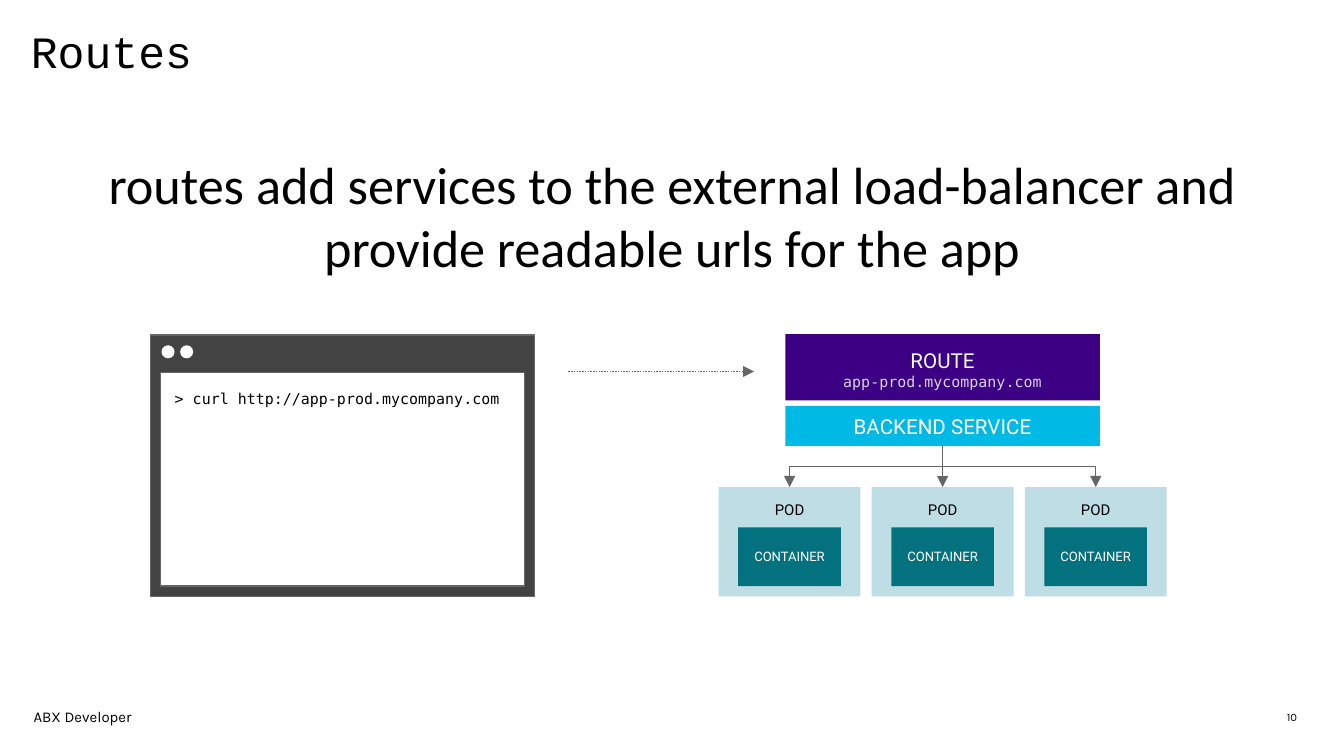
from copy import deepcopy

from lxml import etree
from pptx import Presentation
from pptx.dml.color import RGBColor
from pptx.enum import dml, shapes, text
from pptx.oxml import ns
from pptx.util import Pt

MONO = "DejaVu Sans Mono"
GREY = "666666"
RECT = shapes.MSO_SHAPE.RECTANGLE
OVAL = shapes.MSO_SHAPE.OVAL
ELBOW = shapes.MSO_CONNECTOR.ELBOW
STRAIGHT = shapes.MSO_CONNECTOR.STRAIGHT
TOP, MIDDLE = text.MSO_ANCHOR.TOP, text.MSO_ANCHOR.MIDDLE
LEFT, CENTER, RIGHT = text.PP_ALIGN.LEFT, text.PP_ALIGN.CENTER, text.PP_ALIGN.RIGHT


def rgb(color):
    return RGBColor.from_string(color)


def write(sp, *lines, size=8, font="Roboto", color="000000", align=CENTER,
          anchor=MIDDLE, inset=7.2):
    tf = sp.text_frame
    tf.word_wrap = True
    tf.vertical_anchor = anchor
    tf.margin_left = tf.margin_right = tf.margin_top = tf.margin_bottom = Pt(inset)
    p = tf.paragraphs[0]
    p.alignment = align
    for line in lines:
        r = add_run(p, line, size, font, color)
    return p


def add_run(p, line, size, font, color):
    r = p.add_run()
    r.text = line
    r.font.size = Pt(size)
    r.font.name = font
    r.font.color.rgb = rgb(color)
    return r


def add_break(p):
    p.add_line_break()
    p._p[-1].insert(0, deepcopy(p.runs[-1]._r.rPr))


def add_box(s, x, y, w, h, fill, line=None, kind=RECT):
    sp = s.shapes.add_shape(kind, Pt(x), Pt(y), Pt(w), Pt(h))
    sp.shadow.inherit = False
    sp.fill.solid()
    sp.fill.fore_color.rgb = rgb(fill)
    if line:
        sp.line.color.rgb = rgb(line)
        sp.line.width = Pt(0.75)
    else:
        sp.line.fill.background()
    return sp


def add_label(s, x, y, w, h, line, **fmt):
    return write(s.shapes.add_textbox(Pt(x), Pt(y), Pt(w), Pt(h)), line, **fmt)


def add_arrow(s, x1, y1, x2, y2, kind=STRAIGHT, dash=None):
    cxn = s.shapes.add_connector(kind, Pt(x1), Pt(y1), Pt(x2), Pt(y2))
    cxn.line.color.rgb = rgb(GREY)
    cxn.line.width = Pt(0.75)
    if dash:
        cxn.line.dash_style = dash
    etree.SubElement(cxn.line._get_or_add_ln(), ns.qn("a:tailEnd"), type="triangle")
    etree.SubElement(cxn._element.spPr, ns.qn("a:effectLst"))
    return cxn


def add_branch(s, x1, y1, x2, y2):
    cx, cy = (x1 + x2) / 2, (y1 + y2) / 2
    drop, span = (y2 - y1) / 2, abs(x2 - x1) / 2
    side = 1 if x2 > x1 else -1
    cxn = add_arrow(s, cx + side * drop, cy - span, cx - side * drop, cy + span, ELBOW)
    cxn._element.spPr.xfrm.set("rot", str((270 if side > 0 else 90) * 60000))


def add_terminal(s, x, y, w, h):
    add_box(s, x, y, w, h, "434343", GREY)
    add_box(s, x + 5.5, y + 20, w - 11, h - 25.5, "FFFFFF", GREY)
    add_label(s, x + 6, y + 24.5, w, 28.8, "> curl http://app-prod.mycompany.com",
              font=MONO, align=LEFT, anchor=TOP)
    for i in range(2):
        add_box(s, x + 6 + 10 * i, y + 5.5, 7, 7, "FFFFFF", kind=OVAL)


def add_pod(s, x, y, w, h):
    pod = add_box(s, x, y, w, h, "BFDDE4")
    write(pod, "POD", anchor=TOP)
    container = add_box(s, x + (w - 55) / 2, y + 21.5, 55, 31.5, "03717E")
    write(container, "CONTAINER", size=7, color="FFFFFF")
    return pod


def add_backend(s, x, y, w, h):
    mid = x + w / 2
    bar_w, pod_w, pod_h, gap = 168.5, 76, 58.5, 6
    bar_x = mid - bar_w / 2
    route = add_box(s, bar_x, y, bar_w, 35.5, "3B0083")
    p = write(route, "ROUTE", size=11, color="FFFFFF", anchor=TOP)
    add_break(p)
    add_run(p, "app-prod.mycompany.com", 8, MONO, "D9D2E9")
    service = add_box(s, bar_x, y + 38.5, bar_w, 21.5, "00B9E4")
    write(service, "BACKEND SERVICE", size=11, color="FFFFFF")
    service_y, pod_y = y + 60, y + h - pod_h
    for i in range(3):
        pod_x = x + i * (pod_w + gap)
        pod = add_pod(s, pod_x, pod_y, pod_w, pod_h)
        pod_mid = pod_x + pod_w / 2
        if pod_mid == mid:
            cxn = add_arrow(s, mid, service_y, mid, pod_y)
            cxn.begin_connect(service, 2)
            cxn.end_connect(pod, 0)
        else:
            add_branch(s, mid, service_y, pod_mid, pod_y)


def add_heading(s, x, y, w, h):
    title = add_label(s, x, y, 326, 63.5, "Routes", size=24, font="Courier New",
                      align=LEFT, anchor=TOP, inset=0)
    title.line_spacing = Pt(28)
    title.space_after = Pt(18)
    add_label(s, x + 10, y + h - 83.5, w - 20, 83.5,
              "routes add services to the external load-balancer and "
              "provide readable urls for the app", size=28, font="Calibri")


def add_footer(s, x, y, w, h):
    add_label(s, x, y, 324, h, "ABX Developer", font="Karla", align=LEFT, inset=0)
    add_label(s, x + w - 144, y, 144, h, "10", size=6, font="Karla", align=RIGHT)


def main():
    prs = Presentation()
    prs.slide_width, prs.slide_height = Pt(720), Pt(405)
    s = prs.slides.add_slide(prs.slide_layouts[6])
    add_heading(s, 16.5, 13.5, 687, 143.5)
    add_terminal(s, 80.5, 179.5, 206, 140)
    add_arrow(s, 304.5, 199, 404, 199, dash=dml.MSO_LINE.ROUND_DOT)
    add_backend(s, 385, 179, 240, 140.5)
    add_footer(s, 18, 377.5, 684, 13)
    prs.save("out.pptx")


if __name__ == "__main__":
    main()
